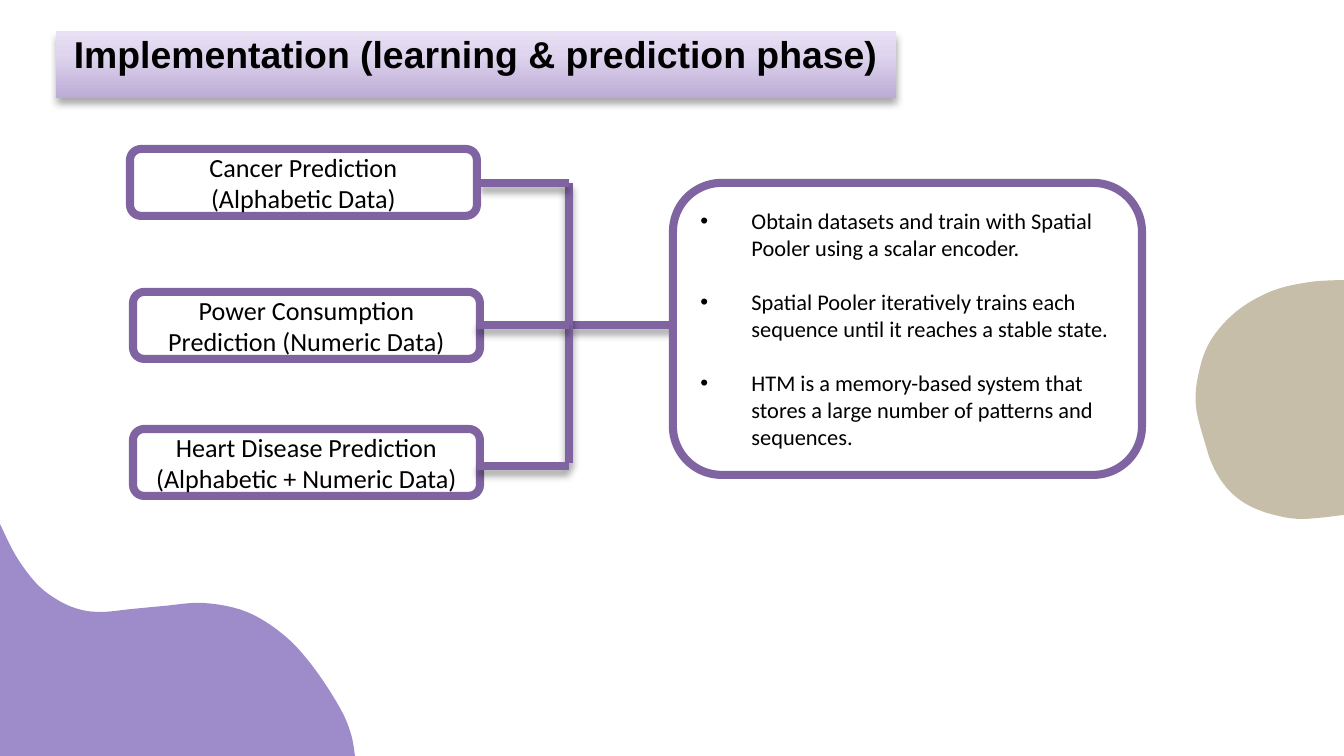
from dataclasses import dataclass
from typing import NamedTuple

from pptx import Presentation
from pptx.dml.color import RGBColor
from pptx.enum.shapes import MSO_CONNECTOR, MSO_SHAPE
from pptx.enum.text import MSO_ANCHOR, PP_ALIGN
from pptx.oxml import parse_xml
from pptx.oxml.ns import nsdecls, qn
from pptx.util import Emu, Inches, Pt


@dataclass(frozen=True)
class Theme:
    ink: str = "000000"
    paper: str = "FFFFFF"
    edge: str = "8064A2"
    wave: str = "9D8BCA"
    sand: str = "C7BEAA"
    fade: tuple = ((0, "BCABD5"), (65, "DFD5EE"), (100, "E8E0F4"))
    head: str = "Arial"
    body: str = "Calibri"
    large: int = 20
    mid: int = 14
    small: int = 12
    stroke: float = 4.33


class Box(NamedTuple):
    left: int
    top: int
    width: int
    height: int


class Label(NamedTuple):
    text: str
    left: int
    top: int


class Wire(NamedTuple):
    x1: int
    y1: int
    x2: int
    y2: int


THEME = Theme()
TITLE = "Implementation (learning & prediction phase)"
BAR = Box(56, 31, 840, 67)
PANEL = Box(673, 183, 469, 292)
CANCER = Label("Cancer Prediction (Alphabetic Data)", 130, 149)
POWER = Label("Power Consumption Prediction (Numeric Data)", 133, 292)
HEART = Label("Heart Disease Prediction (Alphabetic + Numeric Data)", 133, 429)
PARTS = (
    Wire(571, 325, 675, 325),
    Wire(569, 183, 569, 463),
    Wire(480, 183, 569, 183),
    CANCER,
    POWER,
    Wire(477, 325, 569, 325),
    HEART,
    Wire(477, 466, 569, 466),
)
STEPS = (
    "Obtain datasets and train with Spatial Pooler using a scalar encoder.",
    "Spatial Pooler iteratively trains each sequence until it reaches a stable state.",
    "HTM is a memory-based system that stores a large number of patterns and sequences.",
)
WAVE = ((0, 524), (16, 556), (36, 583), (56, 599), (78, 609), (101, 612),
        (132, 609), (164, 606), (204, 603), (247, 612), (285, 636),
        (314, 668), (340, 708), (351, 734), (355, 756))
SAND = ((1344, 280), (1310, 282), (1272, 291), (1237, 311), (1211, 340),
        (1199, 372), (1196, 406), (1206, 446), (1213, 466), (1223, 483),
        (1235, 496), (1250, 506), (1271, 514), (1301, 519), (1344, 515))


def px(count: float) -> Emu:
    return Emu(round(count * 914400 / 134.4))


def paint(fill, tint: str) -> None:
    fill.solid()
    fill.fore_color.rgb = RGBColor.from_string(tint)


def shade(shape) -> None:
    props = shape._element.spPr
    for old in props.findall(qn("a:effectLst")):
        props.remove(old)
    props.append(parse_xml(
        f'<a:effectLst {nsdecls("a")}><a:outerShdw blurRad="{Pt(4)}" '
        f'dist="{Pt(3)}" dir="5400000" rotWithShape="0">'
        f'<a:srgbClr val="{THEME.ink}"><a:alpha val="35000"/></a:srgbClr>'
        '</a:outerShdw></a:effectLst>'))


def blend(shape) -> None:
    shape.fill.gradient()
    props = shape._element.spPr
    stops = "".join(
        f'<a:gs pos="{spot * 1000}"><a:srgbClr val="{tint}"/></a:gs>'
        for spot, tint in THEME.fade)
    props.replace(props.find(qn("a:gradFill")), parse_xml(
        f'<a:gradFill {nsdecls("a")} rotWithShape="1"><a:gsLst>{stops}</a:gsLst>'
        '<a:lin ang="16200000" scaled="0"/></a:gradFill>'))


def write(frame, *lines: str, font: str = THEME.body, size: int = THEME.mid,
          bold: bool = False, align=PP_ALIGN.CENTER, anchor=MSO_ANCHOR.MIDDLE,
          inset: bool = True, bullet: bool = False, gap: float = 0) -> None:
    frame.word_wrap = True
    frame.vertical_anchor = anchor
    if not inset:
        frame.margin_left = frame.margin_right = 0
        frame.margin_top = frame.margin_bottom = 0
    for rank, line in enumerate(lines):
        para = frame.add_paragraph() if rank else frame.paragraphs[0]
        para.alignment = align
        if rank and gap:
            para.space_before = Pt(gap)
        run = para.add_run()
        run.text = line
        run.font.name = font
        run.font.size = Pt(size)
        run.font.bold = bold
        run.font.color.rgb = RGBColor.from_string(THEME.ink)
        if bullet:
            props = para._p.get_or_add_pPr()
            props.set("marL", str(Inches(0.38)))
            props.set("indent", str(-Inches(0.38)))
            props.append(parse_xml(f'<a:buFont {nsdecls("a")} typeface="Arial"/>'))
            props.append(parse_xml(f'<a:buChar {nsdecls("a")} char="•"/>'))


def curve(knots: tuple) -> list:
    ends = (knots[0], *knots, knots[-1])
    dots = [knots[0]]
    for a, b, c, d in zip(ends, ends[1:], ends[2:], ends[3:]):
        for step in range(1, 7):
            t = step / 6
            dots.append(tuple(
                (2 * q + (r - p) * t + (2 * p - 5 * q + 4 * r - s) * t ** 2
                 + (3 * q - p - 3 * r + s) * t ** 3) / 2
                for p, q, r, s in zip(a, b, c, d)))
    return dots


def blob(shapes, knots: tuple, tint: str, *tail: tuple) -> None:
    first, *rest = [(px(x), px(y)) for x, y in (*curve(knots), *tail)]
    pen = shapes.build_freeform(*first)
    pen.add_line_segments(rest, close=True)
    shape = pen.convert_to_shape()
    paint(shape.fill, tint)
    shape.line.fill.background()
    shape.shadow.inherit = False


def frame(shapes, box: Box):
    shape = shapes.add_shape(MSO_SHAPE.ROUNDED_RECTANGLE, *map(px, box))
    paint(shape.fill, THEME.paper)
    paint(shape.line.fill, THEME.edge)
    shape.line.width = Pt(THEME.stroke)
    shape.shadow.inherit = False
    return shape.text_frame


def join(shapes, wire: Wire) -> None:
    line = shapes.add_connector(MSO_CONNECTOR.STRAIGHT, *map(px, wire))
    paint(line.line.fill, THEME.edge)
    line.line.width = Pt(THEME.stroke)
    shade(line)


def title(shapes) -> None:
    bar = shapes.add_shape(MSO_SHAPE.RECTANGLE, *map(px, BAR))
    blend(bar)
    bar.line.fill.background()
    shade(bar)
    write(bar.text_frame, TITLE, font=THEME.head, size=THEME.large, bold=True,
          anchor=MSO_ANCHOR.TOP, inset=False)


def main() -> None:
    deck = Presentation()
    deck.slide_width, deck.slide_height = px(1344), px(756)
    shapes = deck.slides.add_slide(deck.slide_layouts[6]).shapes
    blob(shapes, WAVE, THEME.wave, (0, 756))
    blob(shapes, SAND, THEME.sand)
    title(shapes)
    for part in PARTS:
        if isinstance(part, Wire):
            join(shapes, part)
        else:
            write(frame(shapes, Box(part.left, part.top, 347, 67)), part.text)
    write(frame(shapes, PANEL), *STEPS, size=THEME.small,
          align=PP_ALIGN.LEFT, bullet=True, gap=14.6)
    deck.save("out.pptx")


if __name__ == "__main__":
    main()
